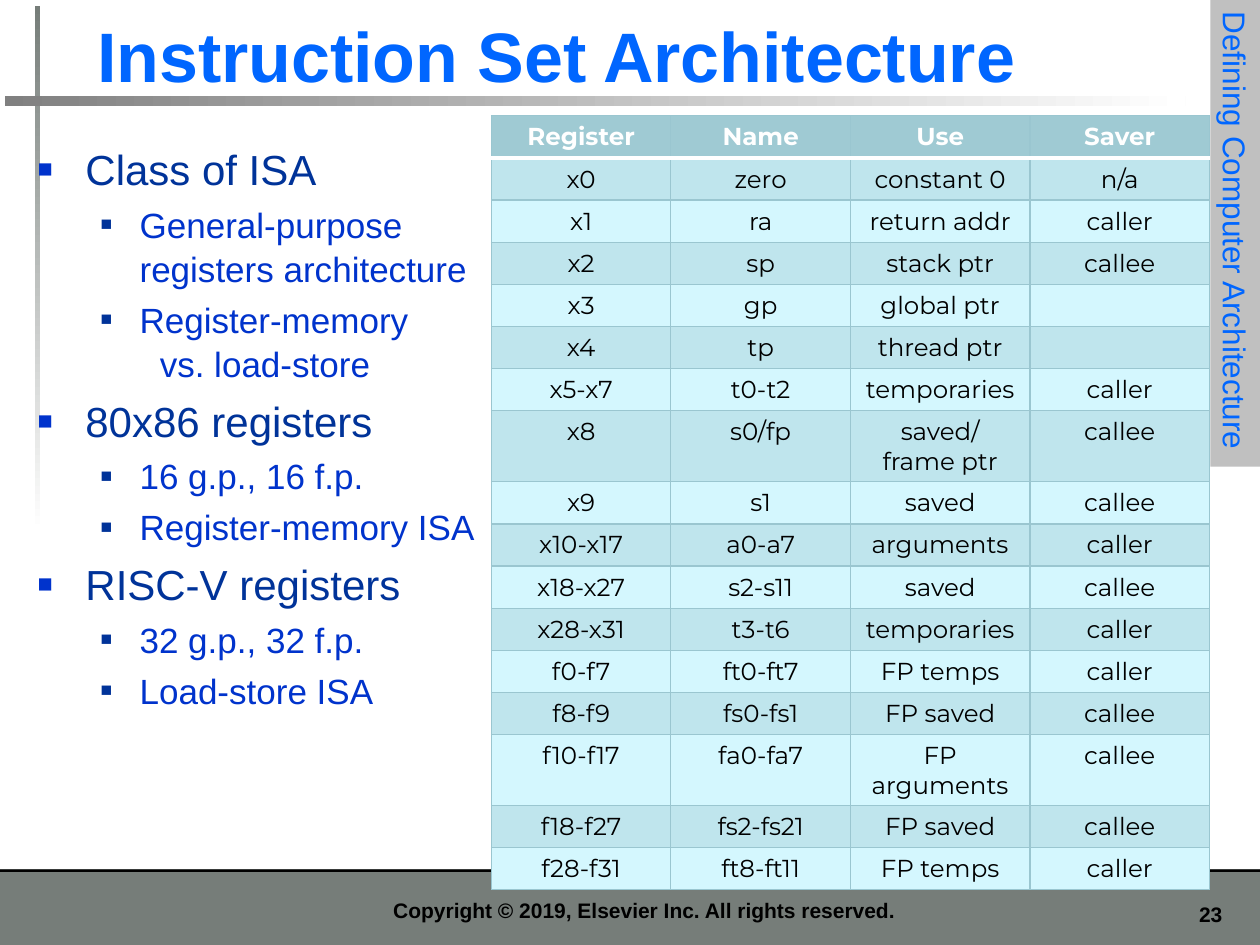
from dataclasses import dataclass
from typing import Optional

from lxml import etree
from pptx import Presentation
from pptx.dml.color import RGBColor
from pptx.enum.shapes import MSO_SHAPE
from pptx.enum.text import MSO_ANCHOR, PP_ALIGN
from pptx.oxml.ns import qn
from pptx.util import Inches, Pt

RECTANGLE = MSO_SHAPE.RECTANGLE
TOP, BOTTOM = MSO_ANCHOR.TOP, MSO_ANCHOR.BOTTOM
LEFT, CENTER, RIGHT = PP_ALIGN.LEFT, PP_ALIGN.CENTER, PP_ALIGN.RIGHT


@dataclass(frozen=True)
class Theme:
    font: str = "Arial"
    table_font: str = "Montserrat"
    title: str = "0066FF"
    topic: str = "003399"
    detail: str = "0033CC"
    black: str = "000000"
    white: str = "FFFFFF"
    footer: str = "767D79"
    rule: str = "808080"
    tab: str = "C0C0C0"
    header: str = "9FCAD3"
    band_dark: str = "BFE5ED"
    band_light: str = "D4F7FE"
    border: str = "9AC6D0"
    title_size: float = 40
    topic_size: float = 24
    detail_size: float = 20
    tab_size: float = 18
    table_size: float = 14
    footer_size: float = 12


THEME = Theme()


@dataclass(frozen=True)
class Level:
    margin: float
    hanging: float
    size: float
    color: str
    bullet_color: str = ""
    bullet_percent: int = 0
    space_ratio: float = 0.2


@dataclass(frozen=True)
class Panel:
    left: float
    top: float
    width: float
    height: float
    color: str
    fade_angle: Optional[int] = None


TOPIC = Level(0.38, 0.38, THEME.topic_size, THEME.topic, THEME.detail, 60)
DETAIL = Level(0.81, 0.31, THEME.detail_size, THEME.detail, THEME.topic, 55)
CONTINUED = Level(0.97, 0, THEME.detail_size, THEME.detail, space_ratio=0)

OUTLINE = [
    (TOPIC, "Class of ISA"),
    (DETAIL, "General-purpose registers architecture"),
    (DETAIL, "Register-memory"),
    (CONTINUED, "vs. load-store"),
    (TOPIC, "80x86 registers"),
    (DETAIL, "16 g.p., 16 f.p."),
    (DETAIL, "Register-memory ISA"),
    (TOPIC, "RISC-V registers"),
    (DETAIL, "32 g.p., 32 f.p."),
    (DETAIL, "Load-store ISA"),
]

REGISTERS = [
    ("Register", "Name", "Use", "Saver"),
    ("x0", "zero", "constant 0", "n/a"),
    ("x1", "ra", "return addr", "caller"),
    ("x2", "sp", "stack ptr", "callee"),
    ("x3", "gp", "global ptr", ""),
    ("x4", "tp", "thread ptr", ""),
    ("x5-x7", "t0-t2", "temporaries", "caller"),
    ("x8", "s0/fp", "saved/\nframe ptr", "callee"),
    ("x9", "s1", "saved", "callee"),
    ("x10-x17", "a0-a7", "arguments", "caller"),
    ("x18-x27", "s2-s11", "saved", "callee"),
    ("x28-x31", "t3-t6", "temporaries", "caller"),
    ("f0-f7", "ft0-ft7", "FP temps", "caller"),
    ("f8-f9", "fs0-fs1", "FP saved", "callee"),
    ("f10-f17", "fa0-fa7", "FP arguments", "callee"),
    ("f18-f27", "fs2-fs21", "FP saved", "callee"),
    ("f28-f31", "ft8-ft11", "FP temps", "caller"),
]

PANELS = [
    Panel(0, 6.9, 10, 0.6, THEME.footer),
    Panel(0, 6.9, 10, 0.02, THEME.black),
    Panel(0.28, 0.05, 0.04, 4.17, THEME.footer, 270),
    Panel(0.04, 0.76, 9.37, 0.08, THEME.rule, 0),
]


def rgb(color: str) -> RGBColor:
    return RGBColor.from_string(color)


def write(frame, text: str, *, size: float, color: str, font: str = THEME.font,
          bold: bool = False, align=LEFT, anchor=None, wrap: Optional[bool] = True) -> None:
    if anchor is not None:
        frame.vertical_anchor = anchor
    if wrap is not None:
        frame.word_wrap = wrap
    frame.text = text
    for paragraph in frame.paragraphs:
        paragraph.alignment = align
        for run in paragraph.runs:
            run.font.name, run.font.size, run.font.bold = font, Pt(size), bold
            run.font.color.rgb = rgb(color)
        if not paragraph.runs:
            etree.SubElement(paragraph._p, qn("a:endParaRPr"), sz=str(int(size * 100)))


def add_panel(slide, panel: Panel):
    shape = slide.shapes.add_shape(RECTANGLE, Inches(panel.left), Inches(panel.top),
                                   Inches(panel.width), Inches(panel.height))
    shape.shadow.inherit = False
    shape.line.fill.background()
    if panel.fade_angle is None:
        shape.fill.solid()
        shape.fill.fore_color.rgb = rgb(panel.color)
    else:
        shape.fill.gradient()
        shape.fill.gradient_angle = panel.fade_angle
        for stop, color in zip(shape.fill.gradient_stops, (panel.color, THEME.white)):
            stop.color.rgb = rgb(color)
    return shape


def add_text_box(slide, left: float, top: float, width: float, height: float):
    return slide.shapes.add_textbox(Inches(left), Inches(top), Inches(width),
                                    Inches(height)).text_frame


def format_outline_item(paragraph, level: Level, first: bool) -> None:
    properties = paragraph._p.get_or_add_pPr()
    properties.set("marL", str(Inches(level.margin)))
    properties.set("indent", str(-Inches(level.hanging)))
    if level.bullet_color:
        bullet_color = etree.SubElement(properties, qn("a:buClr"))
        etree.SubElement(bullet_color, qn("a:srgbClr"), val=level.bullet_color)
        etree.SubElement(properties, qn("a:buSzPct"), val=str(level.bullet_percent * 1000))
        etree.SubElement(properties, qn("a:buFont"), typeface=THEME.font)
        etree.SubElement(properties, qn("a:buChar"), char="■")
    else:
        etree.SubElement(properties, qn("a:buNone"))
    paragraph.line_spacing = 1.05
    paragraph.space_before = Pt(0 if first else level.size * level.space_ratio)
    for run in paragraph.runs:
        run.font.size = Pt(level.size)
        run.font.color.rgb = rgb(level.color)


def add_outline(slide) -> None:
    frame = add_text_box(slide, 0.2, 1.07, 3.7, 5.59)
    write(frame, "\n".join(text for _, text in OUTLINE),
          size=THEME.detail_size, color=THEME.detail, anchor=TOP)
    for index, (paragraph, (level, _)) in enumerate(zip(frame.paragraphs, OUTLINE)):
        format_outline_item(paragraph, level, index == 0)


def add_border(cell, side: str, color: str, width: float) -> None:
    line = etree.SubElement(cell._tc.get_or_add_tcPr(), qn(f"a:{side}"), w=str(Pt(width)))
    fill = etree.SubElement(line, qn("a:solidFill"))
    etree.SubElement(fill, qn("a:srgbClr"), val=color)


def add_registers(slide) -> None:
    holder = slide.shapes.add_table(len(REGISTERS), len(REGISTERS[0]), Inches(3.9),
                                    Inches(0.92), Inches(5.7), Inches(5.9))
    table = holder.table
    for row_index, values in enumerate(REGISTERS):
        header = row_index == 0
        band = THEME.band_dark if row_index % 2 else THEME.band_light
        table.rows[row_index].height = Inches(0.46 if "\n" in values[2] else 0.27)
        for column, text in enumerate(values):
            cell = table.cell(row_index, column)
            for side in ("lnL", "lnR", "lnT", "lnB"):
                divider = (row_index, side) in ((0, "lnB"), (1, "lnT"))
                add_border(cell, side, THEME.white if divider else THEME.border,
                           2 if divider else 0.75)
            cell.fill.solid()
            cell.fill.fore_color.rgb = rgb(THEME.header if header else band)
            write(cell.text_frame, text, size=THEME.table_size, font=THEME.table_font,
                  color=THEME.white if header else THEME.black, bold=header,
                  align=CENTER, wrap=None)
    holder.height = Inches(5.9)


def main() -> None:
    deck = Presentation()
    deck.slide_width, deck.slide_height = Inches(10), Inches(7.5)
    slide = deck.slides.add_slide(deck.slide_layouts[5])
    for panel in PANELS:
        add_panel(slide, panel)
    title = slide.shapes.title
    title.left, title.top = Inches(0.67), Inches(0.05)
    title.width, title.height = Inches(9.06), Inches(0.77)
    write(title.text_frame, "Instruction Set Architecture", size=THEME.title_size,
          color=THEME.title, bold=True, anchor=BOTTOM)
    title.element.getparent().append(title.element)
    add_outline(slide)
    footer = {"size": THEME.footer_size, "color": THEME.black, "bold": True}
    write(add_text_box(slide, 9.17, 7.11, 0.63, 0.3), "23", align=RIGHT, anchor=TOP, **footer)
    write(add_text_box(slide, 1.14, 6.98, 7.95, 0.39),
          "Copyright © 2019, Elsevier Inc. All rights reserved.",
          align=CENTER, anchor=BOTTOM, **footer)
    chapter = add_panel(slide, Panel(7.95, 1.65, 3.71, 0.4, THEME.tab))
    chapter.rotation = 90
    write(chapter.text_frame, "Defining Computer Architecture", size=THEME.tab_size,
          color=THEME.title, anchor=TOP, wrap=False)
    add_registers(slide)
    deck.save("out.pptx")


if __name__ == "__main__":
    main()
